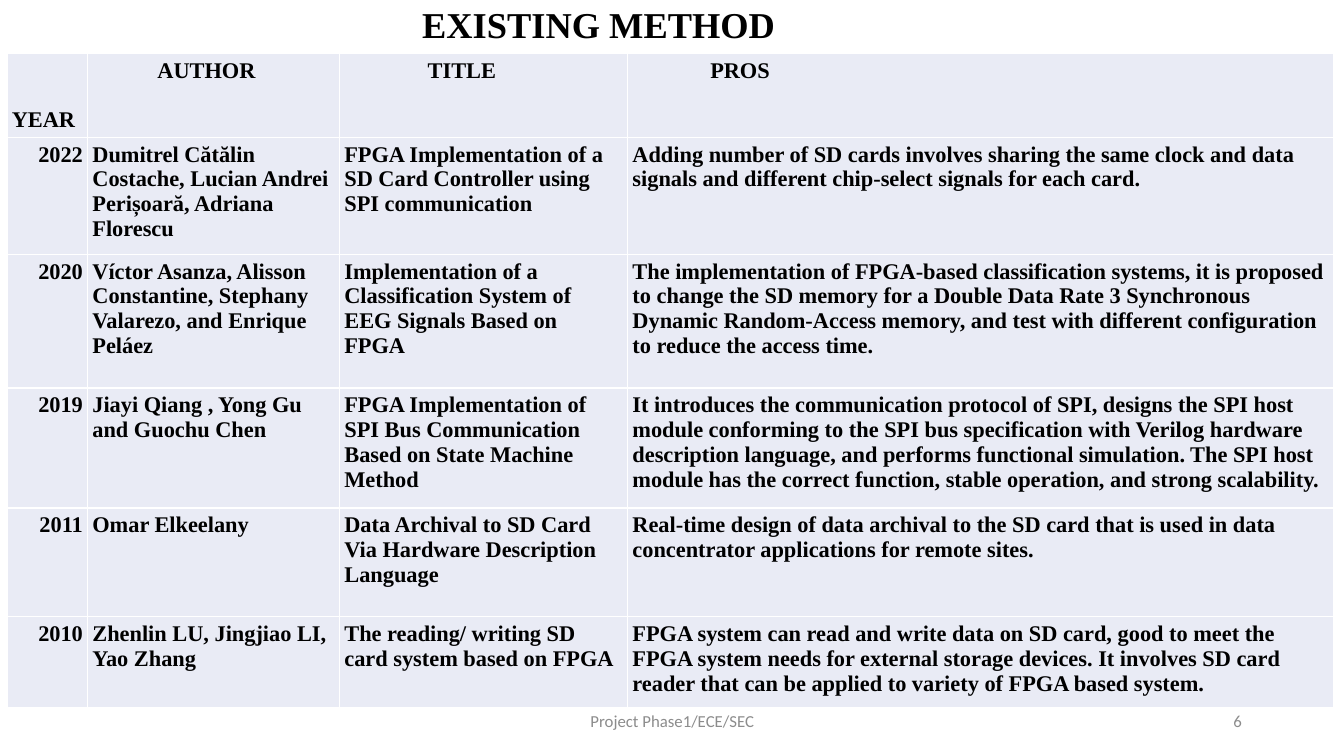
from dataclasses import dataclass

from lxml.etree import SubElement
from pptx import Presentation
from pptx.dml.color import RGBColor
from pptx.enum.text import MSO_ANCHOR, PP_ALIGN
from pptx.oxml.ns import qn
from pptx.util import Cm, Pt


@dataclass(frozen=True)
class Theme:
    heading_font: str = "Times New Roman"
    footer_font: str = "Calibri"
    text: str = "000000"
    footer: str = "8C8C8C"
    cell: str = "E9EBF5"
    border: str = "FFFFFF"
    title_size: int = 26
    table_size: int = 16
    footer_size: int = 12


THEME = Theme()
INSET = 0.12
COLUMN_WIDTHS = (2.03, 6.35, 7.26, 17.78)
ROW_HEIGHTS = (2.11, 2.75, 3.37, 3.02, 2.74, 2.29)
HEADER = ("YEAR", "AUTHOR", "TITLE", "PROS")
HEADER_INDENTS = (INSET, 1.76, 2.22, 2.08)
PAPERS = (
    ("2022",
     "Dumitrel Cătălin Costache, Lucian Andrei Perișoară, Adriana Florescu",
     "FPGA Implementation of a SD Card Controller using SPI communication",
     "Adding number of SD cards involves sharing the same clock and data signals "
     "and different chip-select signals for each card."),
    ("2020",
     "Víctor Asanza, Alisson Constantine, Stephany Valarezo, and Enrique Peláez",
     "Implementation of a Classification System of EEG Signals Based on FPGA",
     "The implementation of FPGA-based classification systems, it is proposed to "
     "change the SD memory for a Double Data Rate 3 Synchronous Dynamic "
     "Random-Access memory, and test with different configuration to reduce the "
     "access time."),
    ("2019",
     "Jiayi Qiang , Yong Gu and Guochu Chen",
     "FPGA Implementation of SPI Bus Communication Based on State Machine Method",
     "It introduces the communication protocol of SPI, designs the SPI host module "
     "conforming to the SPI bus specification with Verilog hardware description "
     "language, and performs functional simulation. The SPI host module has the "
     "correct function, stable operation, and strong scalability."),
    ("2011",
     "Omar Elkeelany",
     "Data Archival to SD Card Via Hardware Description Language",
     "Real-time design of data archival to the SD card that is used in data "
     "concentrator applications for remote sites."),
    ("2010",
     "Zhenlin LU, Jingjiao LI, Yao Zhang",
     "The reading/ writing SD card system based on FPGA",
     "FPGA system can read and write data on SD card, good to meet the FPGA system "
     "needs for external storage devices. It involves SD card reader that can be "
     "applied to variety of FPGA based system."),
)


def write_text(tf, text, *, size, font=THEME.heading_font, color=THEME.text,
               bold=True, align=PP_ALIGN.LEFT, spacing=None):
    p = tf.paragraphs[0]
    p.alignment = align
    p.line_spacing = spacing
    r = p.add_run()
    r.text = text
    r.font.name = font
    r.font.size = Pt(size)
    r.font.bold = bold
    r.font.color.rgb = RGBColor.from_string(color)


def add_text_box(s, text, left, top, width, height, *, indent=0.25, **text_format):
    tf = s.shapes.add_textbox(Cm(left), Cm(top), Cm(width), Cm(height)).text_frame
    tf.word_wrap = True
    tf.vertical_anchor = MSO_ANCHOR.MIDDLE
    tf.margin_left = Cm(indent)
    write_text(tf, text, **text_format)


def add_borders(cell):
    tc_pr = cell._tc.get_or_add_tcPr()
    for side in ("a:lnL", "a:lnR", "a:lnT", "a:lnB"):
        ln = SubElement(tc_pr, qn(side), w=str(Pt(1)))
        fill = SubElement(ln, qn("a:solidFill"))
        SubElement(fill, qn("a:srgbClr"), val=THEME.border)


def fill_cell(cell, text, *, indent=INSET, anchor=MSO_ANCHOR.TOP, align=PP_ALIGN.LEFT):
    cell.margin_left = Cm(indent)
    cell.margin_right = cell.margin_top = cell.margin_bottom = Cm(INSET)
    cell.vertical_anchor = anchor
    add_borders(cell)
    cell.fill.solid()
    cell.fill.fore_color.rgb = RGBColor.from_string(THEME.cell)
    write_text(cell.text_frame, text, size=THEME.table_size, align=align)


def add_paper_table(s, left, top):
    table = s.shapes.add_table(
        len(ROW_HEIGHTS), len(COLUMN_WIDTHS), Cm(left), Cm(top),
        Cm(sum(COLUMN_WIDTHS)), Cm(sum(ROW_HEIGHTS))).table
    table.first_row = table.horz_banding = False
    for column, width in zip(table.columns, COLUMN_WIDTHS):
        column.width = Cm(width)
    for row, height in zip(table.rows, ROW_HEIGHTS):
        row.height = Cm(height)
    for col, (label, indent) in enumerate(zip(HEADER, HEADER_INDENTS)):
        anchor = MSO_ANCHOR.BOTTOM if col == 0 else MSO_ANCHOR.TOP
        fill_cell(table.cell(0, col), label, indent=indent, anchor=anchor)
    for row, paper in enumerate(PAPERS, 1):
        for col, text in enumerate(paper):
            align = PP_ALIGN.RIGHT if col == 0 else PP_ALIGN.LEFT
            fill_cell(table.cell(row, col), text, align=align)


def main():
    prs = Presentation()
    prs.slide_width, prs.slide_height = Cm(33.87), Cm(19.05)
    s = prs.slides.add_slide(prs.slide_layouts[6])
    add_text_box(s, "EXISTING METHOD", 2.77, -1.17, 29.21, 3.68, indent=7.87,
                 size=THEME.title_size, spacing=0.9)
    add_paper_table(s, 0.18, 1.35)
    footer = dict(size=THEME.footer_size, font=THEME.footer_font,
                  color=THEME.footer, bold=False)
    add_text_box(s, "Project Phase1/ECE/SEC", 11.23, 17.65, 11.43, 1.02,
                 align=PP_ALIGN.CENTER, **footer)
    add_text_box(s, "6", 23.93, 17.65, 7.62, 1.02, align=PP_ALIGN.RIGHT, **footer)
    prs.save("out.pptx")


main()
